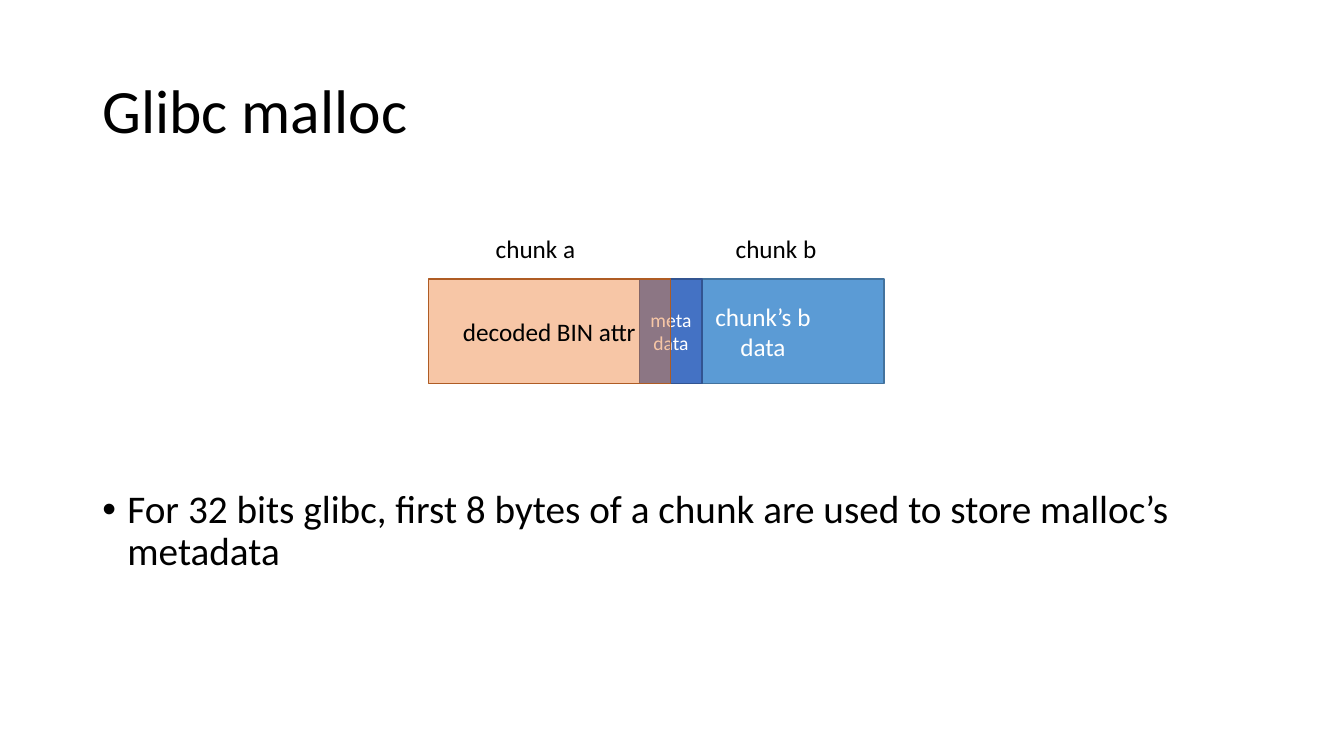
from pptx import Presentation
from pptx.dml.color import RGBColor as Color
from pptx.enum.shapes import MSO_SHAPE as Shape
from pptx.enum.text import MSO_ANCHOR as Anchor, MSO_AUTO_SIZE as AutoSize, PP_ALIGN as Align
from pptx.oxml.ns import qn
from pptx.util import Pt
from lxml.etree import SubElement

COLORS = {
    "black": "000000", "white": "FFFFFF",
    "blue": "5B9BD5", "blue_edge": "43739E",
    "indigo": "4472C4", "indigo_edge": "325491",
    "orange": "ED7D31", "orange_edge": "AF5C24",
}
MARGIN, CONTENT_WIDTH = 66, 828
CHUNK_TOP, CHUNK_WIDTH, CHUNK_HEIGHT = 199.4, 172.8, 74.4


def write(frame, text, size=18, color="black", align=Align.LEFT,
          anchor=Anchor.TOP, wrap=True, spacing=None, bullet=False):
    """Fill a text frame, one paragraph per line of text."""
    frame.auto_size = AutoSize.NONE if wrap else AutoSize.SHAPE_TO_FIT_TEXT
    frame.word_wrap = wrap
    frame.vertical_anchor = anchor
    for number, line in enumerate(text.split("\n")):
        para = frame.add_paragraph() if number else frame.paragraphs[0]
        para.alignment = align
        if spacing:
            para.line_spacing = spacing
        if bullet:
            properties = para._p.get_or_add_pPr()
            properties.set("marL", str(Pt(18)))
            properties.set("indent", str(Pt(-18)))
            SubElement(properties, qn("a:buFont")).set("typeface", "Arial")
            SubElement(properties, qn("a:buChar")).set("char", "•")
        span = para.add_run()
        span.text = line
        span.font.name = "Calibri"
        span.font.size = Pt(size)
        span.font.color.rgb = Color.from_string(COLORS[color])


class SlideBuilder:
    def __init__(self, deck):
        self.page = deck.slides.add_slide(deck.slide_layouts[5])

    def title(self, text):
        box = self.page.shapes.title
        box.left, box.top = Pt(MARGIN), Pt(28.8)
        box.width, box.height = Pt(CONTENT_WIDTH), Pt(104.4)
        write(box.text_frame, text, size=44, anchor=Anchor.MIDDLE, spacing=0.9)

    def text(self, text, left, top, width, height, **style):
        box = self.page.shapes.add_textbox(Pt(left), Pt(top), Pt(width), Pt(height))
        write(box.text_frame, text, **style)

    def block(self, text, left, width, fill, opacity=None, **style):
        box = self.page.shapes.add_shape(
            Shape.RECTANGLE, Pt(left), Pt(CHUNK_TOP), Pt(width), Pt(CHUNK_HEIGHT))
        box.shadow.inherit = False
        box.fill.solid()
        box.fill.fore_color.rgb = Color.from_string(COLORS[fill])
        if opacity:
            tint = box._element.spPr.find(qn("a:solidFill"))[0]
            SubElement(tint, qn("a:alpha")).set("val", str(opacity * 1000))
        box.line.color.rgb = Color.from_string(COLORS[fill + "_edge"])
        box.line.width = Pt(1)
        write(box.text_frame, text, align=Align.CENTER, anchor=Anchor.MIDDLE, **style)


def main():
    deck = Presentation()
    deck.slide_width, deck.slide_height = Pt(960), Pt(540)
    slide = SlideBuilder(deck)
    slide.title("Glibc malloc")

    # Chunk b, its metadata, and the decoded data running over it
    slide.block("chunk’s b\ndata", 458.6, CHUNK_WIDTH, "blue", color="white")
    slide.block("metadata", 457, 44.6, "indigo", size=14, color="white")
    slide.block("decoded BIN attr", 306, CHUNK_WIDTH, "orange", opacity=43)

    # Chunk labels
    for label, left in (("chunk a", 347), ("chunk b", 518.4)):
        slide.text(label, left, 163.4, 72.4, 29, wrap=False)

    # Explanation
    slide.text("For 32 bits glibc, first 8 bytes of a chunk are used to store malloc’s metadata",
               MARGIN, 346.3, CONTENT_WIDTH, 69.8, size=28, spacing=0.9, bullet=True)
    deck.save("out.pptx")


if __name__ == "__main__":
    main()
